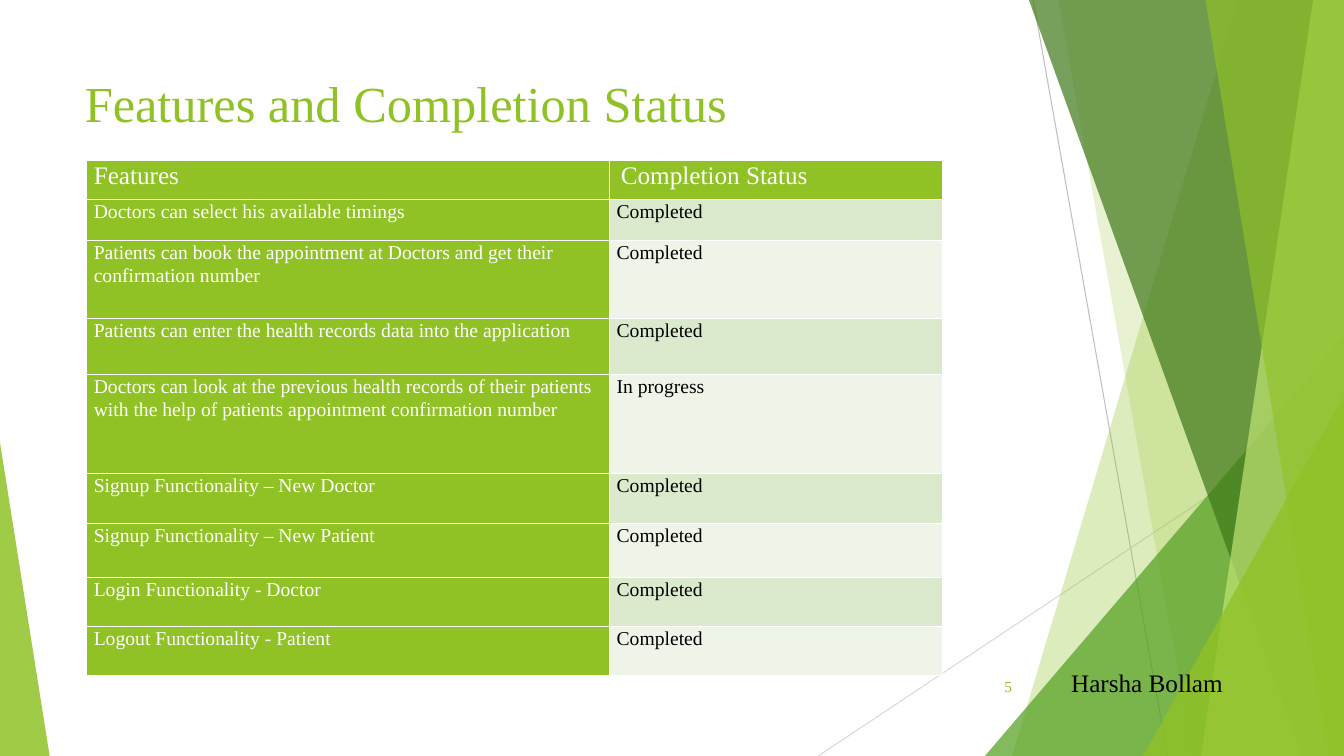
"""Build the feature status slide with its faceted green background."""
from dataclasses import dataclass

from lxml.etree import SubElement
from pptx import Presentation
from pptx.dml.color import RGBColor
from pptx.enum.shapes import MSO_CONNECTOR as Connector
from pptx.enum.shapes import MSO_SHAPE as Preset
from pptx.enum.text import MSO_ANCHOR as Anchor
from pptx.enum.text import PP_ALIGN as Align
from pptx.oxml import parse_xml
from pptx.oxml.ns import nsdecls, qn
from pptx.util import Pt


@dataclass(frozen=True)
class Theme:
    font: str = "Times New Roman"
    white: str = "FFFFFF"
    black: str = "000000"
    lime: str = "90C226"
    leaf: str = "54A021"
    forest: str = "3F7819"
    pale: str = "C0E474"
    bands: tuple = ("DBE9CD", "EEF4E8")
    rule_dark: str = "BFBFBF"
    rule_light: str = "D9D9D9"
    title: int = 36
    heading: int = 18
    body: int = 14
    number: int = 11


THEME = Theme()
WIDTH, HEIGHT = 960, 540
HEADINGS = ("Features", "Completion Status")
COLUMN_WIDTHS = (373.5, 237.5)
HEADER_HEIGHT = 28
FEATURES = (
    ("Doctors can select his available timings", "Completed", 29.5),
    ("Patients can book the appointment at Doctors and get their confirmation number",
     "Completed", 55.5),
    ("Patients can enter the health records data into the application", "Completed", 40),
    ("Doctors can look at the previous health records of their patients with the help of "
     "patients appointment confirmation number", "In progress", 71),
    ("Signup Functionality – New Doctor", "Completed", 35.5),
    ("Signup Functionality – New Patient", "Completed", 38.5),
    ("Login Functionality - Doctor", "Completed", 35),
    ("Logout Functionality - Patient", "Completed", 35),
)


def apply(target, values):
    for name, value in values.items():
        setattr(target, name, value)


def write(paragraph, text, size, color):
    run = paragraph.add_run()
    run.text = text
    apply(run.font, {"name": THEME.font, "size": Pt(size)})
    run.font.color.rgb = RGBColor.from_string(color)


def paint(shape, color, opacity):
    shape.shadow.inherit = False
    shape.line.fill.background()
    shape.fill.solid()
    shape.fill.fore_color.rgb = RGBColor.from_string(color)
    for color_element in shape.element.spPr.iter(qn("a:srgbClr")):
        SubElement(color_element, qn("a:alpha"), val=str(opacity * 1000))


def add_panel(slide, top_x, bottom_x, color, opacity):
    builder = slide.shapes.build_freeform(top_x, 0, scale=Pt(1))
    builder.add_line_segments([(WIDTH, 0), (WIDTH, HEIGHT), (bottom_x, HEIGHT)], close=True)
    paint(builder.convert_to_shape(), color, opacity)


def add_triangle(slide, left, top, width, apex, color, opacity):
    shape = slide.shapes.add_shape(
        Preset.ISOSCELES_TRIANGLE, Pt(left), Pt(top), Pt(width), Pt(HEIGHT - top))
    shape.adjustments[0] = apex
    paint(shape, color, opacity)


def add_rule(slide, start, end, color):
    points = [Pt(value) for value in (*start, *end)]
    connector = slide.shapes.add_connector(Connector.STRAIGHT, *points)
    connector.line.width = Pt(0.75)
    connector.line.color.rgb = RGBColor.from_string(color)
    SubElement(connector.element.spPr, qn("a:effectLst"))


def add_text(slide, box, text, size, color, align=Align.LEFT, anchor=Anchor.TOP):
    shape = slide.shapes.add_textbox(*[Pt(value) for value in box])
    apply(shape.text_frame, {"word_wrap": True, "vertical_anchor": anchor})
    paragraph = shape.text_frame.paragraphs[0]
    paragraph.alignment = align
    write(paragraph, text, size, color)


def fill_cell(cell, text, size, color, fill, indent=5):
    apply(cell, {"margin_left": Pt(indent), "margin_right": Pt(5),
                 "margin_top": 0, "margin_bottom": 0})
    cell.fill.solid()
    cell.fill.fore_color.rgb = RGBColor.from_string(fill)
    paragraph = cell.text_frame.paragraphs[0]
    apply(paragraph, {"line_spacing": 1.07, "space_after": Pt(8)})
    write(paragraph, text, size, color)


def add_borders(frame, color):
    for properties in frame.element.iter(qn("a:tcPr")):
        for index, side in enumerate(("lnL", "lnR", "lnT", "lnB")):
            properties.insert(index, parse_xml(
                f'<a:{side} {nsdecls("a")} w="12700"><a:solidFill>'
                f'<a:srgbClr val="{color}"/></a:solidFill></a:{side}>'))


def add_status_table(slide):
    heights = [HEADER_HEIGHT] + [height for _, _, height in FEATURES]
    frame = slide.shapes.add_table(
        len(heights), len(COLUMN_WIDTHS), Pt(62), Pt(114.5),
        Pt(sum(COLUMN_WIDTHS)), Pt(sum(heights)))
    table = frame.table
    for column, width in zip(table.columns, COLUMN_WIDTHS):
        column.width = Pt(width)
    for row, height in zip(table.rows, heights):
        row.height = Pt(height)
    for column, (heading, indent) in enumerate(zip(HEADINGS, (5, 8))):
        fill_cell(table.cell(0, column), heading, THEME.heading, THEME.white,
                  THEME.lime, indent)
    for index, (feature, status, _) in enumerate(FEATURES):
        row = index + 1
        fill_cell(table.cell(row, 0), feature, THEME.body, THEME.white, THEME.lime)
        fill_cell(table.cell(row, 1), status, THEME.body, THEME.black,
                  THEME.bands[index % 2])
    add_borders(frame, THEME.white)


def add_backdrop(slide):
    add_rule(slide, (738, 0), (834, HEIGHT), THEME.rule_dark)
    add_rule(slide, (WIDTH, 290), (584.5, HEIGHT), THEME.rule_light)
    add_panel(slide, 884, 723, THEME.lime, 30)
    add_panel(slide, 756, 852, THEME.lime, 20)
    add_triangle(slide, 703.5, 240, 256.5, 1, THEME.leaf, 72)
    add_panel(slide, 735, 929.5, THEME.forest, 70)
    add_panel(slide, 938, 858, THEME.pale, 70)
    add_panel(slide, 861, 949, THEME.lime, 65)
    add_triangle(slide, 816.5, 283, 143.5, 1, THEME.lime, 80)
    add_triangle(slide, 0, 316, 35.5, 0, THEME.lime, 85)


def main():
    presentation = Presentation()
    apply(presentation, {"slide_width": Pt(WIDTH), "slide_height": Pt(HEIGHT)})
    slide = presentation.slides.add_slide(presentation.slide_layouts[6])
    add_backdrop(slide)
    add_text(slide, (53.5, 48, 677, 104), "Features and Completion Status",
             THEME.title, THEME.lime)
    add_status_table(slide)
    add_text(slide, (758, 473, 165.5, 29), "Harsha Bollam", THEME.heading, THEME.black)
    add_text(slide, (676, 476, 54, 29), "5", THEME.number, THEME.lime,
             Align.RIGHT, Anchor.MIDDLE)
    presentation.save("out.pptx")


if __name__ == "__main__":
    main()
